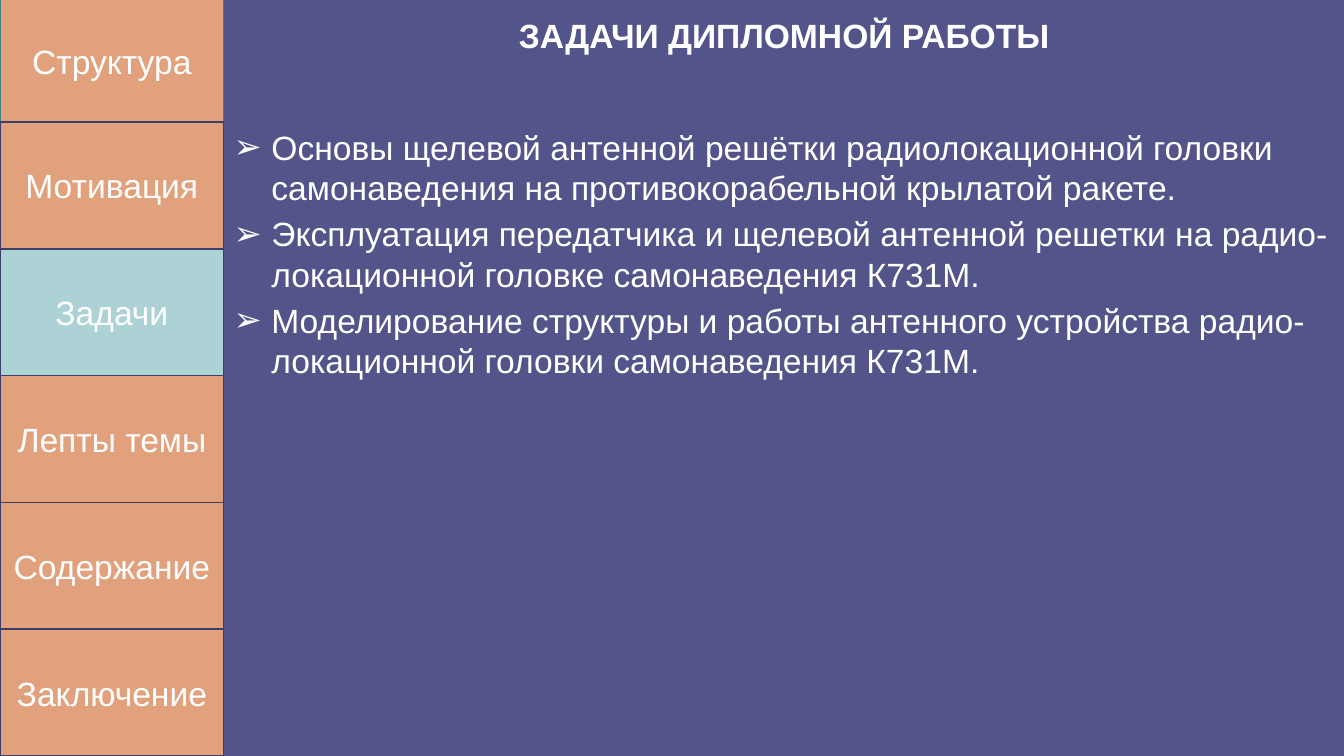
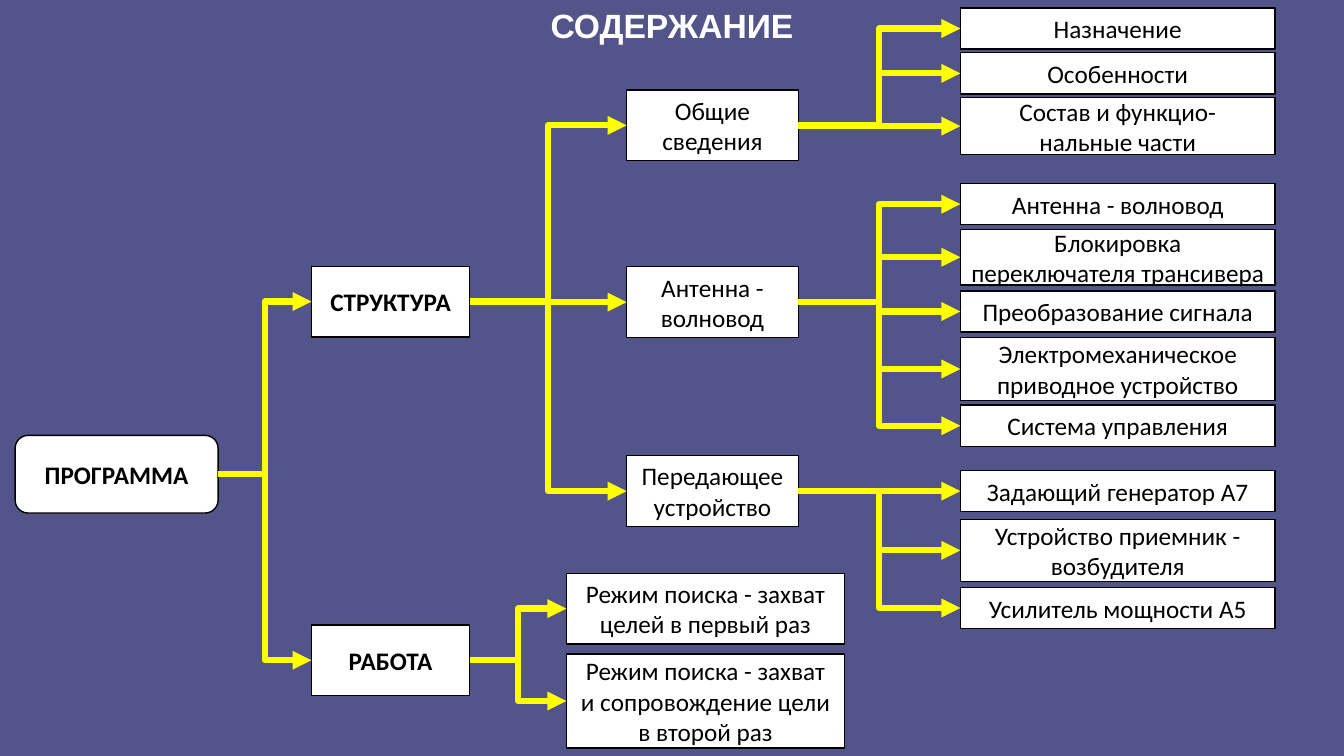
"""Build the thesis tasks slide and the contents tree slide."""
from dataclasses import dataclass
from typing import NamedTuple

from lxml.etree import SubElement as Sub
from pptx import Presentation
from pptx.dml.color import RGBColor as Rgb
from pptx.enum.shapes import MSO_CONNECTOR as Link, MSO_SHAPE as Form
from pptx.enum.text import MSO_ANCHOR as Anchor, PP_ALIGN as Align
from pptx.oxml.ns import qn
from pptx.util import Pt

WIDE, HIGH = 960, 540
BACK, WHITE, BLACK = "53548A", "FFFFFF", "000000"
PEACH, AQUA, TEAL, NAVY = "E1A17C", "ADD2D6", "438086", "3D3E66"
YELLOW = "FFFF00"
SIDE, HEAD = 159.8, 87.2
ROW, PAIR = 29.4, 50.5


class Col(NamedTuple):
    left: float
    width: float
    bold: bool = False
    form: int = Form.RECTANGLE


@dataclass(frozen=True)
class Node:
    text: str
    col: Col
    top: float
    high: float = ROW
    kids: tuple = ()


ROOT = Col(10.8, 145, True, Form.ROUNDED_RECTANGLE)
PART = Col(222.5, 113.1, True)
TOPIC = Col(447.6, 122.6)
LEAF = Col(686, 224.8)
MODE = Col(404.6, 198.7)

MENU = ("Структура", "Мотивация", "Задачи", "Лепты темы", "Содержание", "Заключение")

TASKS = "\n".join((
    "Основы щелевой антенной решётки радиолокационной головки "
    "самонаведения на противокорабельной крылатой ракете.",
    "Эксплуатация передатчика и щелевой антенной решетки на "
    "радио-локационной головке самонаведения К731М.",
    "Моделирование структуры и работы антенного устройства "
    "радио-локационной головки самонаведения К731М.",
))

TREE = Node("ПРОГРАММА", ROOT, 311, 55.5, (
    Node("СТРУКТУРА", PART, 190.2, PAIR, (
        Node("Общие сведения", TOPIC, 64.3, PAIR, (
            Node("Назначение", LEAF, 5.7),
            Node("Особенности", LEAF, 37.7),
            Node("Состав и функцио-\nнальные части", LEAF, 69.6, 41),
        )),
        Node("Антенна - волновод", TOPIC, 190.6, PAIR, (
            Node("Антенна - волновод", LEAF, 131.2),
            Node("Блокировка переключателя трансивера", LEAF, 164, 39.6),
            Node("Преобразование сигнала", LEAF, 207.8),
            Node("Электромеханическое приводное устройство", LEAF, 241.2, 44.7),
            Node("Система управления", LEAF, 289.4),
        )),
        Node("Передающее устройство", TOPIC, 325.5, PAIR, (
            Node("Задающий генератор A7", LEAF, 336.1),
            Node("Устройство приемник - возбудителя", LEAF, 371, 44.2),
            Node("Усилитель мощности A5", LEAF, 419.6),
        )),
    )),
    Node("РАБОТА", PART, 446.4, PAIR, (
        Node("Режим поиска - захват целей в первый раз", MODE, 409.5, PAIR),
        Node("Режим поиска - захват и сопровождение цели в второй раз", MODE, 467.2, 67),
    )),
))


def tint(code: str) -> Rgb:
    return Rgb.from_string(code)


def write(shape, text: str, *, size: float = 24, face: str = "Arial",
          hue: str = WHITE, bold: bool = False, align=Align.CENTER,
          anchor=Anchor.MIDDLE, mark: str = "") -> None:
    frame = shape.text_frame
    frame.word_wrap = True
    frame.vertical_anchor = anchor
    for i, line in enumerate(text.split("\n")):
        para = frame.paragraphs[0] if i == 0 else frame.add_paragraph()
        para.alignment = align
        if mark:
            para.space_after = Pt(4)
            props = para._p.get_or_add_pPr()
            props.set("marL", str(Pt(27)))
            props.set("indent", str(-Pt(27)))
            Sub(props, qn("a:buFont"), typeface=face)
            Sub(props, qn("a:buChar"), char=mark)
        run = para.add_run()
        run.text = line
        font = run.font
        font.size, font.name, font.bold = Pt(size), face, bold
        font.color.rgb = tint(hue)


def box(slide, form: int, left: float, top: float, width: float, high: float,
        fill: str, edge: str, weight: float = 1):
    shape = slide.shapes.add_shape(form, Pt(left), Pt(top), Pt(width), Pt(high))
    shape.shadow.inherit = False
    shape.fill.solid()
    shape.fill.fore_color.rgb = tint(fill)
    shape.line.color.rgb = tint(edge)
    shape.line.width = Pt(weight)
    return shape


def note(slide, left: float, top: float, width: float, high: float,
         text: str, **style) -> None:
    shape = slide.shapes.add_textbox(Pt(left), Pt(top), Pt(width), Pt(high))
    write(shape, text, anchor=Anchor.TOP, **style)


def start(deck, title: str, left: float, top: float, width: float):
    slide = deck.slides.add_slide(deck.slide_layouts[6])
    fill = slide.background.fill
    fill.solid()
    fill.fore_color.rgb = tint(BACK)
    note(slide, left, top, width, 36, title, bold=True)
    return slide


def menu(slide, active: str) -> None:
    step = (HIGH - HEAD) / (len(MENU) - 1)
    for i, text in enumerate(MENU):
        top, high = (HEAD + (i - 1) * step, step) if i else (0, HEAD)
        edge, weight = (NAVY, 1) if i else (TEAL, 0.75)
        fill = AQUA if text == active else PEACH
        write(box(slide, Form.RECTANGLE, 0, top, SIDE, high, fill, edge, weight), text)


def join(slide, head, tail) -> None:
    link = slide.shapes.add_connector(Link.ELBOW, 0, 0, 0, 0)
    link.begin_connect(head, 3)
    link.end_connect(tail, 1)
    link.line.color.rgb = tint(YELLOW)
    link.line.width = Pt(4.5)
    props = link._element.spPr
    line = props.find(qn("a:ln"))
    Sub(line, qn("a:round"))
    Sub(line, qn("a:tailEnd"), type="triangle")
    Sub(props, qn("a:effectLst"))


def grow(slide, node: Node):
    col = node.col
    shape = box(slide, col.form, col.left, node.top, col.width, node.high, WHITE, BLACK)
    write(shape, node.text, size=18, face="Calibri", hue=BLACK, bold=col.bold)
    for kid in node.kids:
        join(slide, shape, grow(slide, kid))
    return shape


def main() -> None:
    deck = Presentation()
    deck.slide_width, deck.slide_height = Pt(WIDE), Pt(HIGH)
    tasks = start(deck, "ЗАДАЧИ ДИПЛОМНОЙ РАБОТЫ", 330.4, 7.2, 459.4)
    note(tasks, SIDE, HEAD, WIDE - SIDE, 190, TASKS, align=Align.LEFT, mark="➢")
    menu(tasks, "Задачи")
    grow(start(deck, "СОДЕРЖАНИЕ", 326.7, 0, 306.6), TREE)
    deck.save("out.pptx")


if __name__ == "__main__":
    main()
